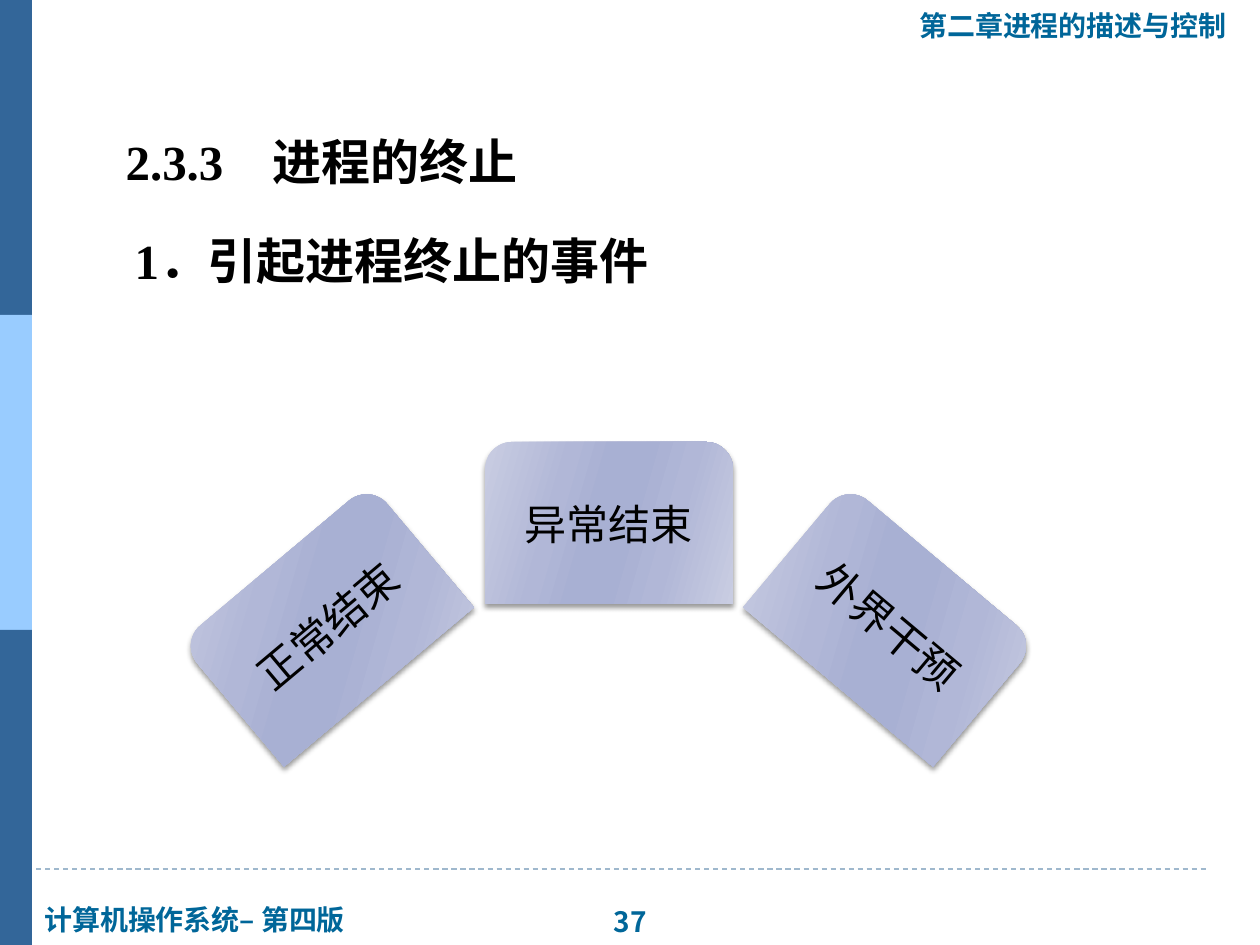
from lxml import etree
from pptx import Presentation
from pptx.dml.color import RGBColor
from pptx.enum.dml import MSO_LINE
from pptx.enum.shapes import MSO_CONNECTOR, MSO_SHAPE
from pptx.enum.text import MSO_ANCHOR, MSO_AUTO_SIZE, PP_ALIGN
from pptx.oxml import parse_xml
from pptx.oxml.ns import nsdecls, qn
from pptx.util import Emu, Pt

DASH = MSO_LINE.DASH
STRAIGHT = MSO_CONNECTOR.STRAIGHT
RECT, TAB = MSO_SHAPE.RECTANGLE, MSO_SHAPE.ROUND_2_SAME_RECTANGLE
TOP, MIDDLE = MSO_ANCHOR.TOP, MSO_ANCHOR.MIDDLE
NO_FIT, GROW = MSO_AUTO_SIZE.NONE, MSO_AUTO_SIZE.SHAPE_TO_FIT_TEXT
LEFT, CENTER = PP_ALIGN.LEFT, PP_ALIGN.CENTER

COLORS = {"dark": "336699", "light": "99CCFF", "label": "006699", "rule": "9FB8CD",
          "text": "000000", "edge": "C9CDE2", "mid": "B1B7D7", "core": "A8B0D3"}
STOPS = [(0, "edge"), (30, "mid"), (45, "core"), (55, "core"), (73, "mid"), (100, "edge")]


def px(*values):
    return [Emu(round(v * 914400 / 126)) for v in values]


def write(p, text, color, size, **formats):
    r = p.add_run()
    r.text = text
    r.font.size = Pt(size)
    r.font.color.rgb = RGBColor.from_string(COLORS[color])
    for name, value in formats.items():
        setattr(r.font, name, value)


prs = Presentation()
prs.slide_width, prs.slide_height = px(1260, 945)
s = prs.slides.add_slide(prs.slide_layouts[1])
title, body = s.placeholders
title.element.getparent().remove(title.element)

rule = s.shapes.add_connector(STRAIGHT, *px(0, 869, 1208, 869))
rule.line.color.rgb = RGBColor.from_string(COLORS["rule"])
rule.line.width = Pt(0.75)
rule.line.dash_style = DASH
etree.SubElement(rule._element.spPr, qn("a:effectLst"))

for i, color in enumerate(["dark", "light", "dark"]):
    sp = s.shapes.add_shape(RECT, *px(0, 315 * i, 32, 315))
    sp.shadow.inherit = False
    sp.fill.solid()
    sp.fill.fore_color.rgb = RGBColor.from_string(COLORS[color])
    sp.line.fill.background()

for text, x, y, w, font, align in [
    ("计算机操作系统– 第四版", 32, 896, 334, "Roboto", LEFT),
    ("37", 596, 898, 68, "Noto Sans CJK JP", CENTER),
    ("第二章进程的描述与控制", 907, 2, 336, "Roboto", LEFT),
]:
    tf = s.shapes.add_textbox(*px(x, y, w, 47)).text_frame
    tf.word_wrap = False
    tf.auto_size = GROW
    p = tf.paragraphs[0]
    p.alignment = align
    write(p, text, "label", 16, name=font, bold=True)

body.left, body.top, body.width, body.height = px(64, 96, 1132, 228)
tf = body.text_frame
tf.auto_size = NO_FIT
tf.vertical_anchor = TOP
for i, (text, indent) in enumerate([("2.3.3　进程的终止", 49), ("1．引起进程终止的事件", 58)]):
    p = tf.add_paragraph() if i else tf.paragraphs[0]
    pPr = p._p.get_or_add_pPr()
    pPr.set("marL", str(px(indent)[0]))
    pPr.set("indent", "0")
    etree.SubElement(pPr, qn("a:buNone"))
    for name, value in {"line_spacing": 1.5, "space_before": Pt(6 * i)}.items():
        setattr(p, name, value)
    write(p, text, "text", 28, name="Times New Roman", bold=True)

stops = "".join(f'<a:gs pos="{pos * 1000}"><a:srgbClr val="{COLORS[c]}"/></a:gs>'
                for pos, c in STOPS)
gradient = (f'<a:gradFill {nsdecls("a")} rotWithShape="0"><a:gsLst>{stops}</a:gsLst>'
            '<a:lin ang="960000" scaled="0"/></a:gradFill>')
shadow = (f'<a:effectLst {nsdecls("a")}><a:outerShdw blurRad="38100" dist="25400" '
          'dir="5400000" rotWithShape="0"><a:srgbClr val="000000">'
          '<a:alpha val="40000"/></a:srgbClr></a:outerShdw></a:effectLst>')
for text, x, y, angle in [("正常结束", 203, 544, 320), ("异常结束", 485, 442, 0),
                          ("外界干预", 766, 544, 40)]:
    sp = s.shapes.add_shape(TAB, *px(x, y, 248, 162))
    sp.rotation = angle
    sp.line.fill.background()
    spPr = sp._element.spPr
    spPr.find(qn("a:prstGeom")).addnext(parse_xml(gradient))
    spPr.append(parse_xml(shadow))
    tf = sp.text_frame
    tf.word_wrap = True
    tf.vertical_anchor = MIDDLE
    tf.margin_top, tf.margin_bottom = px(4, 4)
    p = tf.paragraphs[0]
    p.alignment = CENTER
    p.line_spacing = 0.9
    write(p, text, "text", 24, name="Cabin")

prs.save("out.pptx")
